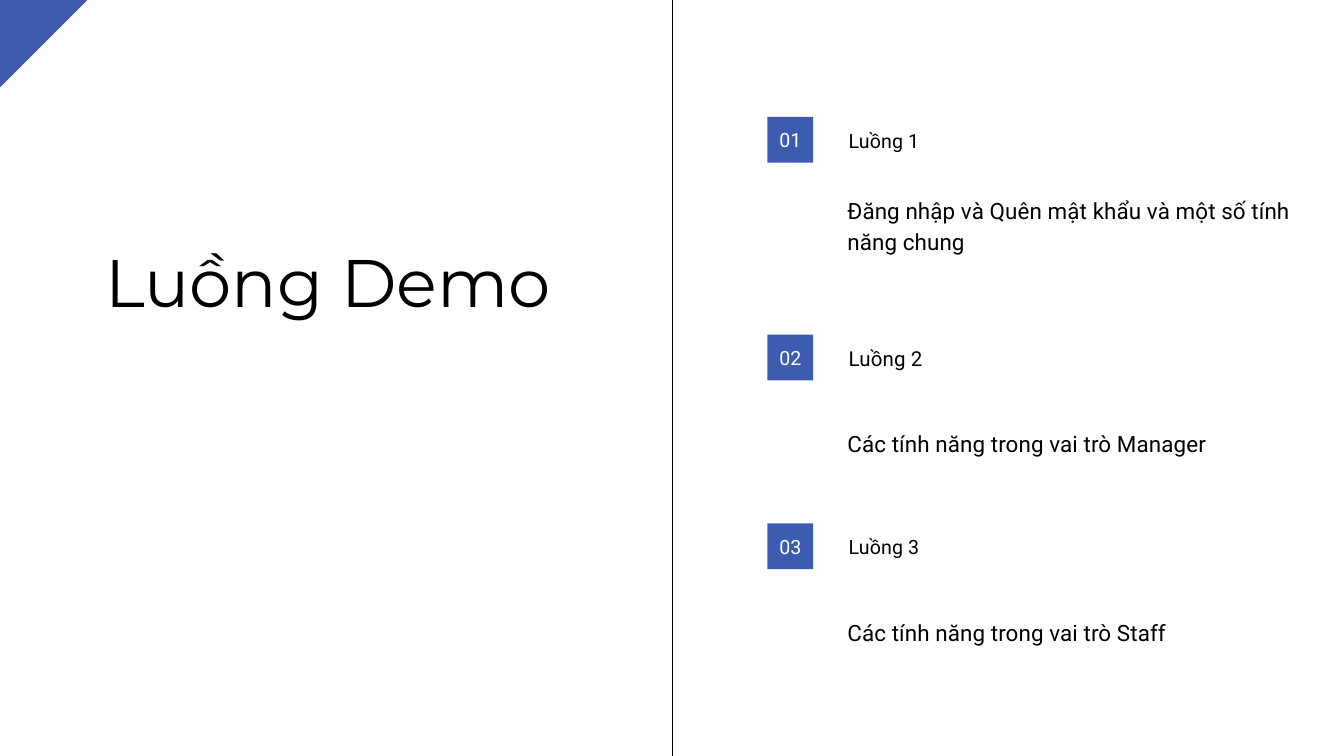
"""Builds the demo flow slide: a title on the left and three numbered flows on the right."""
from lxml.etree import SubElement
from pptx import Presentation
from pptx.dml.color import RGBColor
from pptx.enum.shapes import MSO_CONNECTOR, MSO_SHAPE
from pptx.enum.text import MSO_ANCHOR, PP_ALIGN
from pptx.oxml.ns import qn
from pptx.util import Pt

TITLE = "Luồng Demo"
FLOWS = [
    {"top": 125.28, "label": "Luồng 1", "size": 21, "gap": 80.64,
     "detail": "Đăng nhập và Quên mật khẩu và một số tính năng chung", "lines": 2},
    {"top": 358.56, "label": "Luồng 2", "size": 22, "gap": 97.2,
     "detail": "Các tính năng trong vai trò Manager", "lines": 1},
    {"top": 560.88, "label": "Luồng 3", "size": 21, "gap": 97.2,
     "detail": "Các tính năng trong vai trò Staff", "lines": 1},
]

BLUE = RGBColor(0x3E, 0x5B, 0xB2)
BLACK = RGBColor(0, 0, 0)
WHITE = RGBColor(0xFF, 0xFF, 0xFF)

WIDTH, HEIGHT = 1440, 810
CORNER = 93.6
BADGE_LEFT, BADGE = 822.24, 48.96
LABEL_LEFT, LABEL_WIDTH, LABEL_CENTRE = 909.36, 411.12, 23
DETAIL_LEFT, DETAIL_WIDTH, DETAIL_SIZE = 907.92, 502.56, 24
LEADING = 1.4


def write(sp, text, size, leading, font="Roboto", color=BLACK,
          align=PP_ALIGN.LEFT, anchor=MSO_ANCHOR.TOP, spacing=0):
    tf = sp.text_frame
    frame = {"word_wrap": True, "vertical_anchor": anchor, "margin_left": 0,
             "margin_top": 0, "margin_right": 0, "margin_bottom": 0}
    for name, value in frame.items():
        setattr(tf, name, value)
    p = tf.paragraphs[0]
    p.alignment, p.line_spacing = align, Pt(leading)
    r = p.add_run()
    r.text = text
    for name, value in {"name": font, "size": Pt(size)}.items():
        setattr(r.font, name, value)
    r.font.color.rgb = color
    if spacing:
        r.font._element.set("spc", str(spacing))


def paint(sp):
    sp.shadow.inherit = False
    sp.fill.solid()
    sp.fill.fore_color.rgb = BLUE
    sp.line.fill.background()


def add_text(s, left, top, width, text, size, lines=1):
    leading = size * LEADING
    sp = s.shapes.add_textbox(Pt(left), Pt(top), Pt(width), Pt(leading * lines))
    write(sp, text, size, leading, spacing=10)


def add_flow(s, number, flow):
    top, size = flow["top"], flow["size"]
    badge = s.shapes.add_shape(MSO_SHAPE.RECTANGLE, Pt(BADGE_LEFT), Pt(top), Pt(BADGE), Pt(BADGE))
    paint(badge)
    write(badge, f"{number:02d}", 21, 25.2, color=WHITE,
          align=PP_ALIGN.CENTER, anchor=MSO_ANCHOR.MIDDLE)
    label_top = top + LABEL_CENTRE - size * LEADING / 2
    add_text(s, LABEL_LEFT, label_top, LABEL_WIDTH, flow["label"], size)
    add_text(s, DETAIL_LEFT, top + flow["gap"], DETAIL_WIDTH, flow["detail"],
             DETAIL_SIZE, flow["lines"])


def main():
    prs = Presentation()
    prs.slide_width, prs.slide_height = Pt(WIDTH), Pt(HEIGHT)
    s = prs.slides.add_slide(prs.slide_layouts[5])

    divider = s.shapes.add_connector(MSO_CONNECTOR.STRAIGHT, Pt(WIDTH / 2), 0,
                                     Pt(WIDTH / 2), Pt(HEIGHT))
    divider.line.color.rgb = BLACK
    divider.line.width = Pt(0.75)
    SubElement(divider._element.spPr, qn("a:effectLst"))

    outline = s.shapes.build_freeform(0, Pt(CORNER))
    outline.add_line_segments([(0, 0), (Pt(CORNER), 0)])
    paint(outline.convert_to_shape())

    title = s.shapes.title
    box = {"left": 113.04, "top": 257.76, "width": 502.56, "height": 86.4}
    for name, value in box.items():
        setattr(title, name, Pt(value))
    write(title, TITLE, 72, 86.4, font="Montserrat")

    for number, flow in enumerate(FLOWS, 1):
        add_flow(s, number, flow)

    prs.save("out.pptx")


if __name__ == "__main__":
    main()
